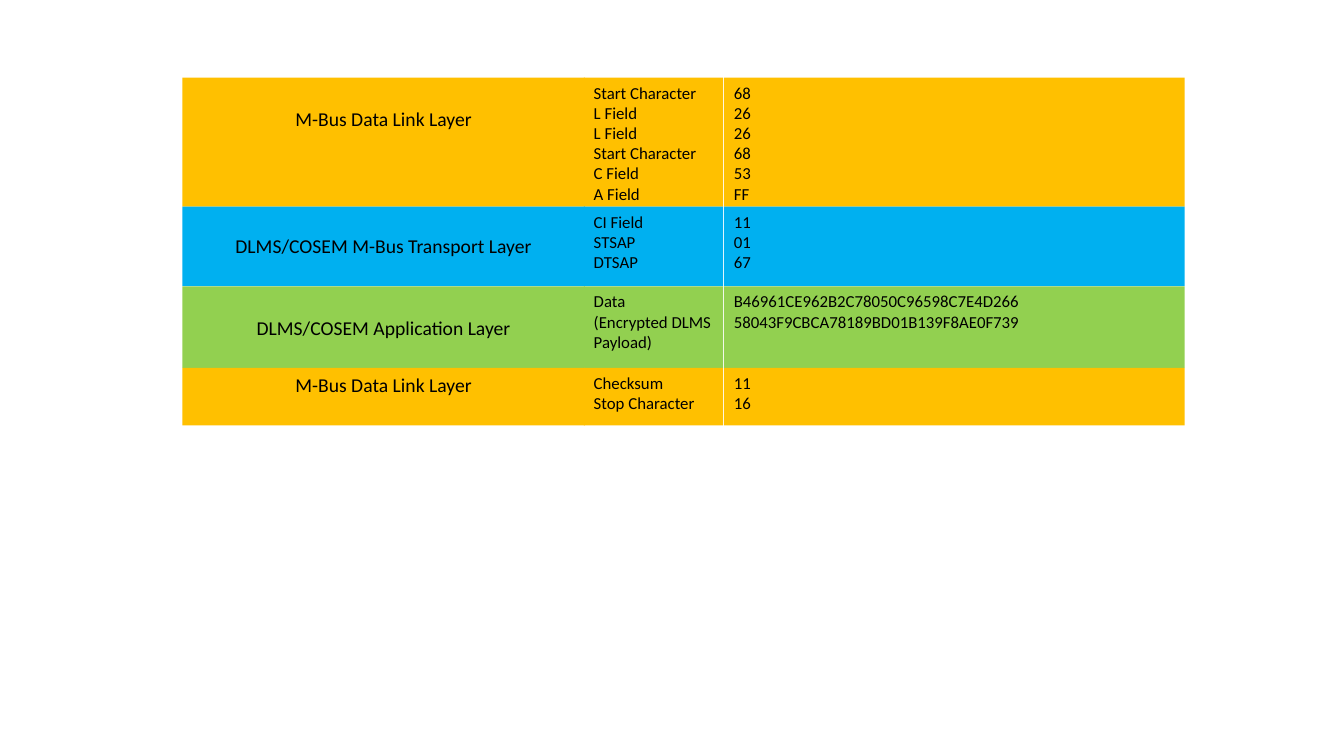
from pptx import Presentation
from pptx.dml.color import RGBColor
from pptx.enum.shapes import MSO_SHAPE
from pptx.enum.text import MSO_ANCHOR, MSO_AUTO_SIZE, PP_ALIGN
from pptx.util import Inches, Pt

COLORS = {"link": "FFC000", "transport": "00B0F0", "application": "92D050", "text": "000000"}

TOP = 0.77
# Left and width of each column
LAYER, FIELD, VALUE = (1.81, 3.99), (5.79, 1.38), (7.18, 4.57)

# Color, height, layer name, inset above the name,
# field lines, field text width, value lines, value text width
FRAME_ROWS = [
    ("link", 1.28, "M-Bus Data Link Layer", 0.29,
     ["Start Character", "L Field", "L Field", "Start Character", "C Field", "A Field"], 1.25,
     ["68", "26", "26", "68", "53", "FF"], 1.65),
    ("transport", 0.79, "DLMS/COSEM M-Bus Transport Layer", 0.27,
     ["CI Field", "STSAP", "DTSAP"], 1.25,
     ["11", "01", "67"], 1.36),
    ("application", 0.81, "DLMS/COSEM Application Layer", 0.29,
     ["Data", "(Encrypted DLMS Payload)"], 1.38,
     ["B46961CE962B2C78050C96598C7E4D266", "58043F9CBCA78189BD01B139F8AE0F739"], 4.57),
    ("link", 0.57, "M-Bus Data Link Layer", 0.05,
     ["Checksum", "Stop Character"], 1.38,
     ["11", "16"], 1.65),
]


def apply_format(target, values):
    """Set each attribute in values on target."""
    for name, value in values.items():
        setattr(target, name, value)


def write_lines(shape, lines, size, alignment, frame_format):
    """Write one paragraph per line into the shape."""
    frame = shape.text_frame
    apply_format(frame, {"word_wrap": True, "vertical_anchor": MSO_ANCHOR.TOP, **frame_format})
    frame.text = "\n".join(lines)
    for paragraph in frame.paragraphs:
        paragraph.alignment = alignment
        font = paragraph.runs[0].font
        apply_format(font, {"name": "Calibri", "size": Pt(size)})
        font.color.rgb = RGBColor.from_string(COLORS["text"])


def add_block(slide, column, top, height, color):
    """Add a filled rectangle in a column and return it."""
    left, width = column
    shape = slide.shapes.add_shape(
        MSO_SHAPE.RECTANGLE, Inches(left), Inches(top), Inches(width), Inches(height))
    shape.shadow.inherit = False
    shape.fill.solid()
    shape.fill.fore_color.rgb = RGBColor.from_string(COLORS[color])
    shape.line.fill.background()
    return shape


def add_lines(slide, left, top, width, lines):
    """Add a left-aligned text box tall enough for its lines."""
    box = slide.shapes.add_textbox(
        Inches(left), Inches(top), Inches(width), Inches(0.1 + 0.2 * len(lines)))
    write_lines(box, lines, 12, PP_ALIGN.LEFT, {"auto_size": MSO_AUTO_SIZE.SHAPE_TO_FIT_TEXT})


def add_frame_row(slide, top, row):
    """Add one protocol layer with its fields and their values."""
    color, height, layer, inset, fields, field_width, values, value_width = row
    label = add_block(slide, LAYER, top, height, color)
    write_lines(label, [layer], 14, PP_ALIGN.CENTER, {"margin_top": Inches(inset)})
    for column, lines, width in ((FIELD, fields, field_width), (VALUE, values, value_width)):
        add_block(slide, column, top, height, color)
        add_lines(slide, column[0], top, width, lines)


def main():
    """Build the slide with the layers of the frame and save it."""
    presentation = Presentation()
    apply_format(presentation, {"slide_width": Inches(13.33), "slide_height": Inches(7.5)})
    slide = presentation.slides.add_slide(presentation.slide_layouts[6])
    top = TOP
    for row in FRAME_ROWS:
        add_frame_row(slide, top, row)
        top += row[1]
    presentation.save("out.pptx")


main()
